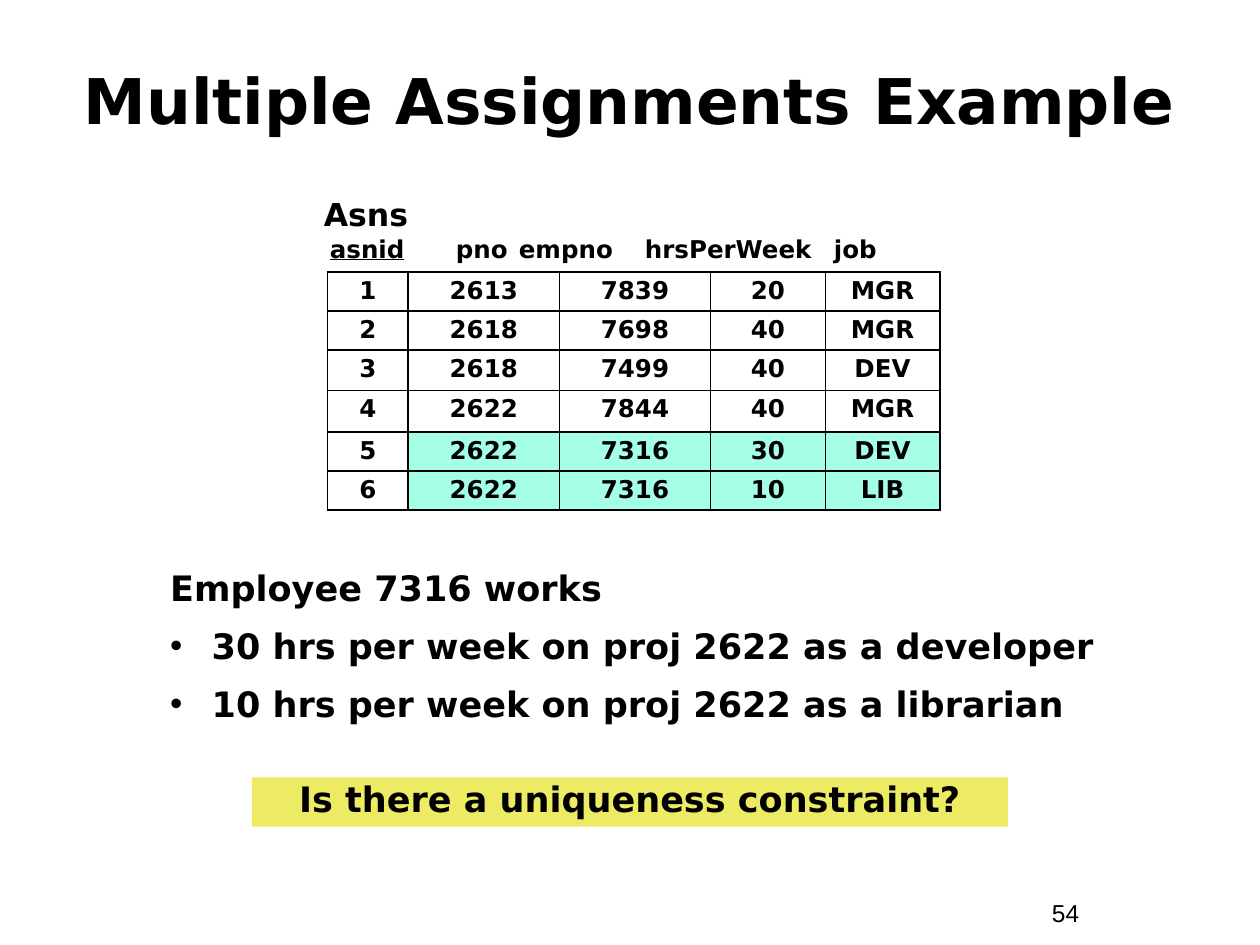
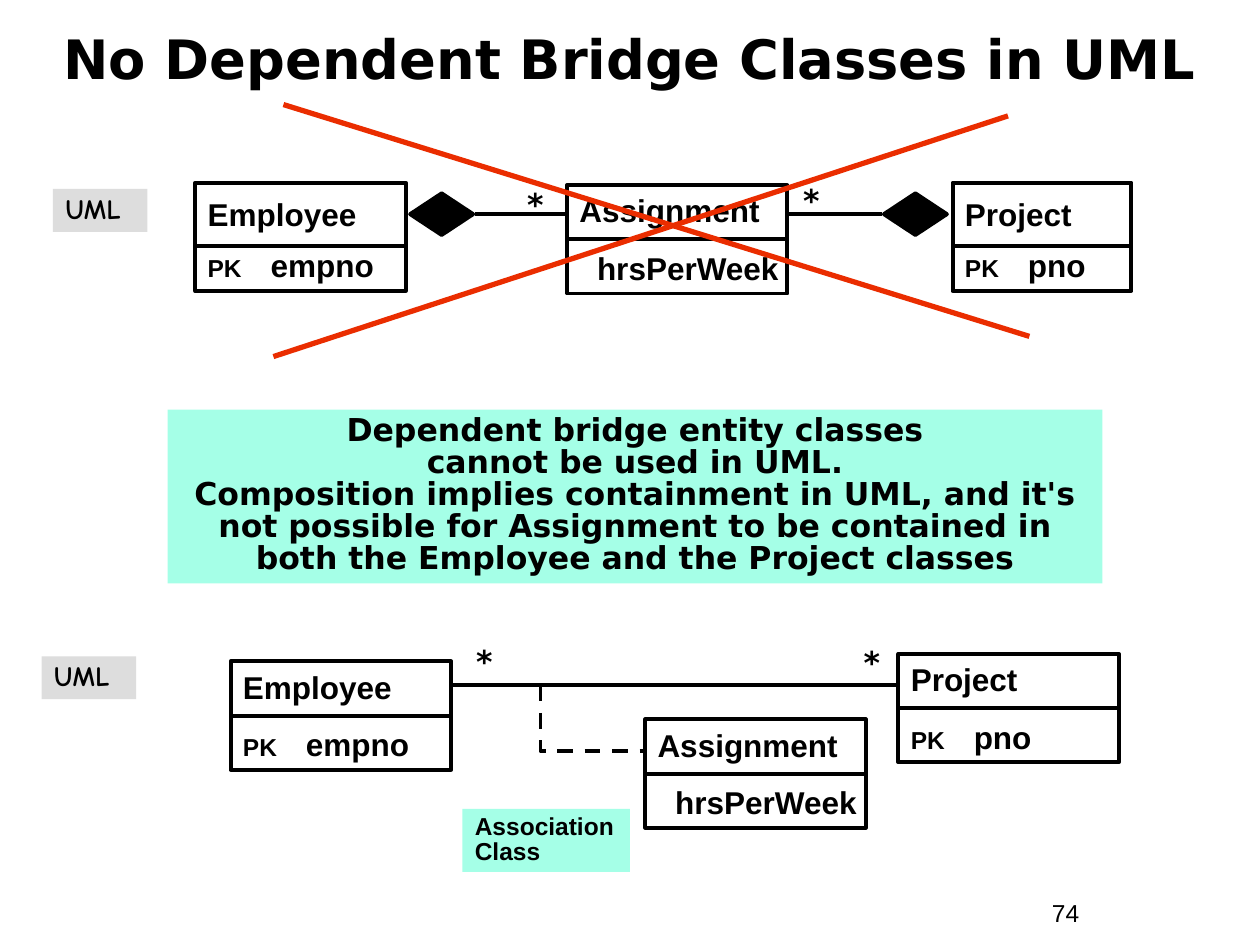
"""Build two slides on multiple assignments and bridge classes in UML."""
from dataclasses import dataclass
from typing import NamedTuple

from lxml.etree import SubElement
from pptx import Presentation
from pptx.dml.color import RGBColor
from pptx.enum.dml import MSO_LINE
from pptx.enum.shapes import MSO_CONNECTOR, MSO_SHAPE
from pptx.enum.text import MSO_ANCHOR, MSO_AUTO_SIZE, PP_ALIGN
from pptx.oxml.ns import qn
from pptx.util import Inches, Pt


@dataclass(frozen=True)
class Theme:
    """Colours, fonts, type sizes and line widths of the deck."""
    ink: RGBColor = RGBColor(0x00, 0x00, 0x00)
    mint: RGBColor = RGBColor(0xA5, 0xFF, 0xE7)
    yellow: RGBColor = RGBColor(0xED, 0xEA, 0x63)
    grey: RGBColor = RGBColor(0xDD, 0xDD, 0xDD)
    red: RGBColor = RGBColor(0xEA, 0x2D, 0x00)
    heading: str = "DejaVu Sans"
    diagram: str = "Arial"
    tag: str = "Comic Neue"
    small: float = 14
    tag_size: float = 16
    medium: float = 18
    large: float = 20
    long_title: float = 31
    title: float = 36
    outline: float = 2.25
    strike: float = 3
    cell_border: float = 1


THEME = Theme()


class Area(NamedTuple):
    """Left, top, width and height in inches."""
    left: float
    top: float
    width: float
    height: float

    def lengths(self):
        """Return the four values as lengths."""
        return [Inches(value) for value in self]


class Run(NamedTuple):
    """A stretch of text with its own size or underline."""
    text: str
    size: float | None = None
    underline: bool = False


class Line(NamedTuple):
    """A paragraph with its left indent and bullet."""
    runs: tuple[Run, ...]
    left: float = 0
    bullet: bool = False


@dataclass(frozen=True)
class UmlClass:
    """A class box whose compartments are split at half height."""
    area: Area
    name: str
    attribute: Line


@dataclass(frozen=True)
class KeyedEntity:
    """An entity with a name box above its key box."""
    left: float
    width: float
    name: str
    key: str
    diamond_left: float


def plain(text: str, **layout) -> Line:
    """Make a paragraph of one run."""
    return Line((Run(text),), **layout)


def keyed(key: str) -> Line:
    """Make a primary key paragraph."""
    return Line((Run("PK", THEME.small), Run(f"\t{key}")))


def write(frame, *lines: Line, size: float, font: str = THEME.heading, bold: bool = True,
          align=PP_ALIGN.LEFT, spacing: float = 1.0, gap: float = 0,
          tabs: tuple[float, ...] = (), anchor=MSO_ANCHOR.TOP) -> None:
    """Fill a text frame with formatted paragraphs."""
    frame.word_wrap = True
    frame.auto_size = MSO_AUTO_SIZE.NONE
    frame.vertical_anchor = anchor
    for position, line in enumerate(lines):
        paragraph = frame.add_paragraph() if position else frame.paragraphs[0]
        properties = paragraph._p.get_or_add_pPr()
        properties.set("marL", str(Inches(line.left)))
        properties.set("indent", str(Inches(-line.left if line.bullet else 0)))
        if line.bullet:
            SubElement(properties, qn("a:buFont"), typeface=THEME.diagram)
            SubElement(properties, qn("a:buChar"), char="•")
        else:
            SubElement(properties, qn("a:buNone"))
        if tabs:
            stops = SubElement(properties, qn("a:tabLst"))
            for stop in tabs:
                SubElement(stops, qn("a:tab"), pos=str(Inches(stop)), algn="l")
        paragraph.alignment = align
        paragraph.line_spacing = spacing
        paragraph.space_before = Pt(gap if position else 0)
        for part in line.runs:
            for row, text in enumerate(part.text.split("\n")):
                if row:
                    paragraph.add_line_break()
                run = paragraph.add_run()
                run.text = text
                run.font.name = font
                run.font.size = Pt(part.size or size)
                run.font.bold = bold
                run.font.underline = part.underline
                run.font.color.rgb = THEME.ink


def add_text(slide, area: Area, *lines: Line, **text_format) -> None:
    """Add a text box."""
    write(slide.shapes.add_textbox(*area.lengths()).text_frame, *lines, **text_format)


def add_box(slide, area: Area, *lines: Line, fill: RGBColor | None = None,
            outlined: bool = False, kind=MSO_SHAPE.RECTANGLE, **text_format):
    """Add a shape with an optional fill, outline and text."""
    box = slide.shapes.add_shape(kind, *area.lengths())
    box.shadow.inherit = False
    if fill is None:
        box.fill.background()
    else:
        box.fill.solid()
        box.fill.fore_color.rgb = fill
    if outlined:
        box.line.color.rgb = THEME.ink
        box.line.width = Pt(THEME.outline)
    else:
        box.line.fill.background()
    if lines:
        write(box.text_frame, *lines, **text_format)
    return box


def add_line(slide, start: tuple[float, float], end: tuple[float, float],
             color: RGBColor = THEME.ink, width: float = THEME.outline,
             kind=MSO_CONNECTOR.STRAIGHT):
    """Add a connector between two points."""
    line = slide.shapes.add_connector(kind, *(Inches(value) for value in (*start, *end)))
    line.line.color.rgb = color
    line.line.width = Pt(width)
    SubElement(line._element.spPr, qn("a:effectLst"))
    return line


def add_association_link(slide, start: tuple[float, float], end: tuple[float, float]) -> None:
    """Add a dashed link that runs down, then right."""
    run, drop = end[0] - start[0], end[1] - start[1]
    left, top = start[0] + (run - drop) / 2, start[1] + (drop - run) / 2
    link = add_line(slide, (left, top), (left + drop, top + run), kind=MSO_CONNECTOR.ELBOW)
    link.line.dash_style = MSO_LINE.DASH
    outline = link._element.spPr
    outline.find(qn("a:prstGeom")).set("prst", "bentConnector2")
    turn = outline.find(qn("a:xfrm"))
    turn.set("rot", str(270 * 60000))
    turn.set("flipH", "1")


def add_class(slide, uml: UmlClass) -> None:
    """Add a class box and its divider."""
    box = add_box(slide, uml.area, plain(uml.name), uml.attribute, outlined=True,
                  size=THEME.medium, font=THEME.diagram, gap=11.2, tabs=(0.38,))
    box.text_frame.margin_right = 0
    middle = uml.area.top + uml.area.height / 2
    divider = add_line(slide, (uml.area.left, middle),
                       (uml.area.left + uml.area.width, middle))
    divider.begin_connect(box, 1)
    divider.end_connect(box, 3)


def add_entity(slide, entity: KeyedEntity) -> None:
    """Add a name box, a key box and a composition diamond."""
    add_box(slide, Area(entity.left, 1.45, entity.width, 0.5), plain(entity.name), outlined=True,
            size=THEME.medium, font=THEME.diagram, anchor=MSO_ANCHOR.MIDDLE)
    add_box(slide, Area(entity.left, 1.95, entity.width, 0.36), keyed(entity.key), outlined=True,
            size=THEME.medium, font=THEME.diagram, spacing=0.85, tabs=(0.51,))
    diamond = add_box(slide, Area(entity.diamond_left, 1.45, 0.33, 0.5), fill=THEME.ink,
                      outlined=True, kind=MSO_SHAPE.FLOWCHART_SORT)
    diamond.rotation = 90


def start_slide(deck, layout: int, title: str, area: Area, size: float, number: str):
    """Add a slide with its title and page number."""
    slide = deck.slides.add_slide(deck.slide_layouts[layout])
    place(slide.shapes.title, area)
    write(slide.shapes.title.text_frame, plain(title), size=size, align=PP_ALIGN.CENTER,
          anchor=MSO_ANCHOR.MIDDLE)
    add_text(slide, Area(8.25, 7.08, 0.92, 0.34), plain(number), size=THEME.small,
             font=THEME.diagram, bold=False)
    return slide


def place(holder, area: Area) -> None:
    """Move a placeholder."""
    holder.left, holder.top, holder.width, holder.height = area.lengths()


def format_cell(cell, text: str, marked: bool) -> None:
    """Write one cell and draw its borders and fill."""
    write(cell.text_frame, plain(text), size=THEME.small, align=PP_ALIGN.CENTER, spacing=0.9)
    cell.margin_left = cell.margin_right = Inches(0.1)
    cell.margin_top = cell.margin_bottom = Inches(0.05)
    properties = cell._tc.get_or_add_tcPr()
    for side in ("lnL", "lnR", "lnT", "lnB"):
        border = SubElement(properties, qn(f"a:{side}"), w=str(Pt(THEME.cell_border)))
        SubElement(SubElement(border, qn("a:solidFill")), qn("a:srgbClr"), val=str(THEME.ink))
    if marked:
        cell.fill.solid()
        cell.fill.fore_color.rgb = THEME.mint
    else:
        cell.fill.background()


def add_assignments_table(slide) -> None:
    """Add the table of assignments with the repeated pair marked."""
    assignments = (
        ("1", "2613", "7839", "20", "MGR"),
        ("2", "2618", "7698", "40", "MGR"),
        ("3", "2618", "7499", "40", "DEV"),
        ("4", "2622", "7844", "40", "MGR"),
        ("5", "2622", "7316", "30", "DEV"),
        ("6", "2622", "7316", "10", "LIB"),
    )
    widths = (0.64, 1.2, 1.2, 0.91, 0.91)
    heights = (0.31, 0.31, 0.32, 0.33, 0.31, 0.31)
    area = Area(2.6, 2.16, sum(widths), sum(heights))
    table = slide.shapes.add_table(len(heights), len(widths), *area.lengths()).table
    table.first_row = table.horz_banding = False
    for column, width in zip(table.columns, widths):
        column.width = Inches(width)
    for row, height, values in zip(table.rows, heights, assignments):
        row.height = Inches(height)
        for position, (cell, value) in enumerate(zip(row.cells, values)):
            format_cell(cell, value, marked=position > 0 and values[2] == "7316")


def build_assignments(deck) -> None:
    """Build the example of multiple assignments."""
    slide = start_slide(deck, 1, "Multiple Assignments Example",
                        Area(0.33, 0.33, 9.33, 0.92), THEME.title, "54")
    add_text(slide, Area(2.52, 1.81, 5.4, 0.34),
             Line((Run("asnid", underline=True), Run("\tpno\tempno\thrsPerWeek\tjob"))),
             size=THEME.small, tabs=(1.0, 1.95, 2.9, 4.36))
    add_text(slide, Area(2.25, 1.5, 1.31, 0.4), plain("Asns"), size=THEME.medium,
             align=PP_ALIGN.CENTER)
    add_assignments_table(slide)
    workload = slide.placeholders[1]
    place(workload, Area(1.25, 4.5, 7.67, 1.3))
    write(workload.text_frame, plain("Employee 7316 works"),
          *(plain(f"{hours} hrs per week on proj 2622 as a {job}", left=0.33, bullet=True)
            for hours, job in ((30, "developer"), (10, "librarian"))),
          size=THEME.large, spacing=0.85, gap=12.5)
    add_box(slide, Area(2, 6.17, 6, 0.39), plain("Is there a uniqueness constraint?"),
            fill=THEME.yellow, size=THEME.large, align=PP_ALIGN.CENTER, spacing=0.85)


def build_bridge_classes(deck) -> None:
    """Build the rejected and the accepted UML diagrams."""
    slide = start_slide(deck, 5, "No Dependent Bridge Classes in UML",
                        Area(0.33, 0.08, 9.33, 0.75), THEME.long_title, "74")
    for start, end in (((3.58, 5.44), (7.13, 5.44)), ((4.5, 1.7), (3.77, 1.7)),
                       ((6.25, 1.7), (7, 1.7))):
        add_line(slide, start, end)
    add_association_link(slide, (4.29, 5.44), (5.12, 5.96))
    hours = plain("hrsPerWeek", left=0.14)
    for left, top, name, attribute in ((5.12, 5.71, "Assignment", hours),
                                       (7.13, 5.19, "Project", keyed("pno")),
                                       (1.83, 5.25, "Employee", keyed("empno")),
                                       (4.5, 1.47, "Assignment", hours)):
        add_class(slide, UmlClass(Area(left, top, 1.75, 0.86), name, attribute))
    add_entity(slide, KeyedEntity(1.55, 1.67, "Employee", "empno", 3.34))
    add_entity(slide, KeyedEntity(7.56, 1.42, "Project", "pno", 7.1))
    for left, top, width in ((6.67, 5.09, 0.5), (3.43, 5.08, 0.83),
                             (4.03, 1.45, 0.44), (6.22, 1.42, 0.44)):
        add_text(slide, Area(left, top, width, 0.37), plain("*"), size=THEME.medium,
                 align=PP_ALIGN.CENTER, spacing=0.9)
    for left, top in ((0.33, 5.21), (0.42, 1.5)):
        add_box(slide, Area(left, top, 0.75, 0.34), plain("UML"), fill=THEME.grey,
                size=THEME.tag_size, font=THEME.tag, spacing=0.9)
    for start, end in (((2.17, 2.83), (8, 0.92)), ((8.17, 2.67), (2.25, 0.83))):
        add_line(slide, start, end, THEME.red, THEME.strike)
    add_box(slide, Area(1.33, 3.25, 7.42, 1.38),
            plain("Dependent bridge entity classes\ncannot be used in UML.\n"
                  "Composition implies containment in UML, and it's not possible for Assignment "
                  "to be contained in both the Employee and the Project classes"),
            fill=THEME.mint, size=THEME.medium, align=PP_ALIGN.CENTER, spacing=0.85)
    add_box(slide, Area(3.67, 6.42, 1.33, 0.5), plain("Association Class"), fill=THEME.mint,
            size=THEME.small, font=THEME.diagram, spacing=0.85)


def main() -> None:
    """Build and save the deck."""
    deck = Presentation()
    deck.slide_width, deck.slide_height = Inches(10), Inches(7.5)
    build_assignments(deck)
    build_bridge_classes(deck)
    deck.save("out.pptx")


if __name__ == "__main__":
    main()
